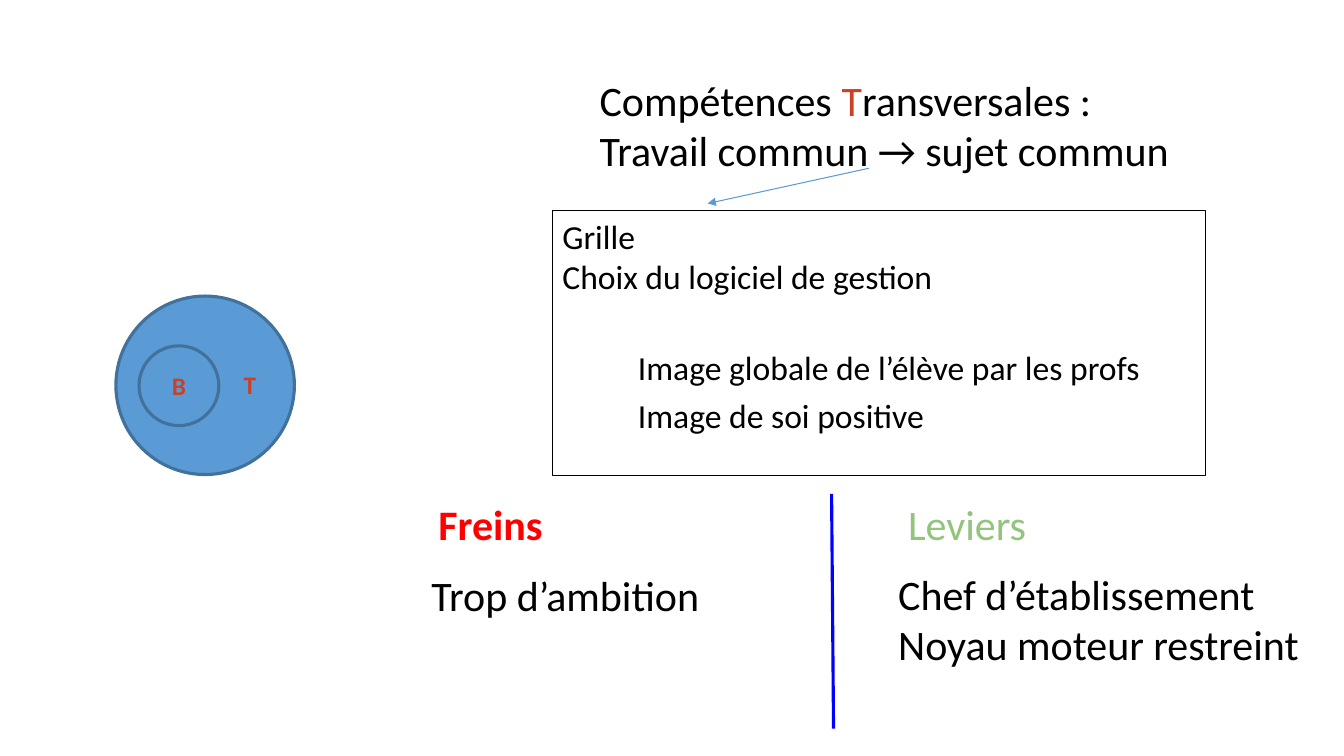
"""Build the slide on transversal skills, brakes and levers."""
from lxml.etree import SubElement
from pptx import Presentation
from pptx.dml.color import RGBColor
from pptx.enum.shapes import MSO_CONNECTOR, MSO_SHAPE
from pptx.enum.text import MSO_ANCHOR, PP_ALIGN
from pptx.oxml.ns import qn
from pptx.util import Pt

THEME = {
    "font": "Calibri", "large": 30, "medium": 24, "small": 18,
    "black": "000000", "rust": "CC4125", "red": "FF0000", "green": "93C47D",
    "sky": "5B9BD5", "steel": "42719B", "blue": "0000FF",
}
SIZE = (960, 540)

CIRCLES = [
    ((82.8, 211.5, 127.5, 127.5), ""),
    ((99.3, 247, 57, 57), "B"),
]
TEXTS = [
    ((167, 260.6, 24, 29), ["T"], "small", "rust", True),
    ((421.2, 49.7, 471, 80),
     [[("Compétences ", "black"), ("T", "rust"), ("ransversales :", "black")],
      "Travail commun → sujet commun"], "large", "black", False),
    ((301, 403, 215, 44), ["Trop d’ambition"], "large", "black", False),
    ((306, 352.8, 104.5, 44), ["Freins"], "large", "red", True),
    ((641.5, 352.8, 104.5, 44), ["Leviers"], "large", "green", False),
    ((634.5, 402.5, 309.5, 116.5),
     ["Chef d’établissement", "Noyau moteur restreint"], "large", "black", False),
]
FRAME = (394.6, 150.5, 466.5, 189)
GRID = [
    ("Grille", 0, 0),
    ("Choix du logiciel de gestion", 0, 0),
    ("Image globale de l’élève par les profs", 54, 36.5),
    ("Image de soi positive", 54, 5),
]
LINES = [
    ((620.6, 120.2, 505.4, 145.4), "sky", 0.75, True),
    ((594, 352.8, 595.4, 520.5), "blue", 2.25, False),
]


def tint(name):
    return RGBColor.from_string(THEME[name])


def write(frame, rows, size, color, bold=False):
    frame.word_wrap = True
    for i, row in enumerate(rows):
        para = frame.paragraphs[0] if i == 0 else frame.add_paragraph()
        for words, shade in [(row, color)] if isinstance(row, str) else row:
            run = para.add_run()
            run.text = words
            run.font.color.rgb = tint(shade)
        para.font.name = THEME["font"]
        para.font.size = Pt(THEME[size])
        para.font.bold = bold


def add_form(slide, kind, box, fill, line, width):
    form = slide.shapes.add_shape(kind, *map(Pt, box))
    form.shadow.inherit = False
    if fill:
        form.fill.solid()
        form.fill.fore_color.rgb = tint(fill)
    else:
        form.fill.background()
    form.line.color.rgb = tint(line)
    form.line.width = Pt(width)
    return form


def add_line(slide, ends, color, width, arrow):
    line = slide.shapes.add_connector(MSO_CONNECTOR.STRAIGHT, *map(Pt, ends))
    line.line.color.rgb = tint(color)
    line.line.width = Pt(width)
    props = line._element.spPr
    if arrow:
        SubElement(props.find(qn("a:ln")), qn("a:tailEnd"), type="triangle")
    SubElement(props, qn("a:effectLst"))


def add_grid(slide):
    form = add_form(slide, MSO_SHAPE.RECTANGLE, FRAME, None, "black", 0.75)
    frame = form.text_frame
    frame.vertical_anchor = MSO_ANCHOR.TOP
    write(frame, [row[0] for row in GRID], "medium", "black")
    for para, (_, indent, gap) in zip(frame.paragraphs, GRID):
        para.alignment = PP_ALIGN.LEFT
        if indent:
            para._p.get_or_add_pPr().set("marL", str(Pt(indent)))
            para.space_before = Pt(gap)


def main():
    deck = Presentation()
    deck.slide_width, deck.slide_height = map(Pt, SIZE)
    slide = deck.slides.add_slide(deck.slide_layouts[6])
    for box, label in CIRCLES:
        disc = add_form(slide, MSO_SHAPE.OVAL, box, "sky", "steel", 2.25)
        if label:
            write(disc.text_frame, [label], "small", "rust", True)
            disc.text_frame.paragraphs[0].alignment = PP_ALIGN.CENTER
    for box, rows, size, color, bold in TEXTS:
        area = slide.shapes.add_textbox(*map(Pt, box))
        write(area.text_frame, rows, size, color, bold)
    add_grid(slide)
    for line in LINES:
        add_line(slide, *line)
    deck.save("out.pptx")


if __name__ == "__main__":
    main()
